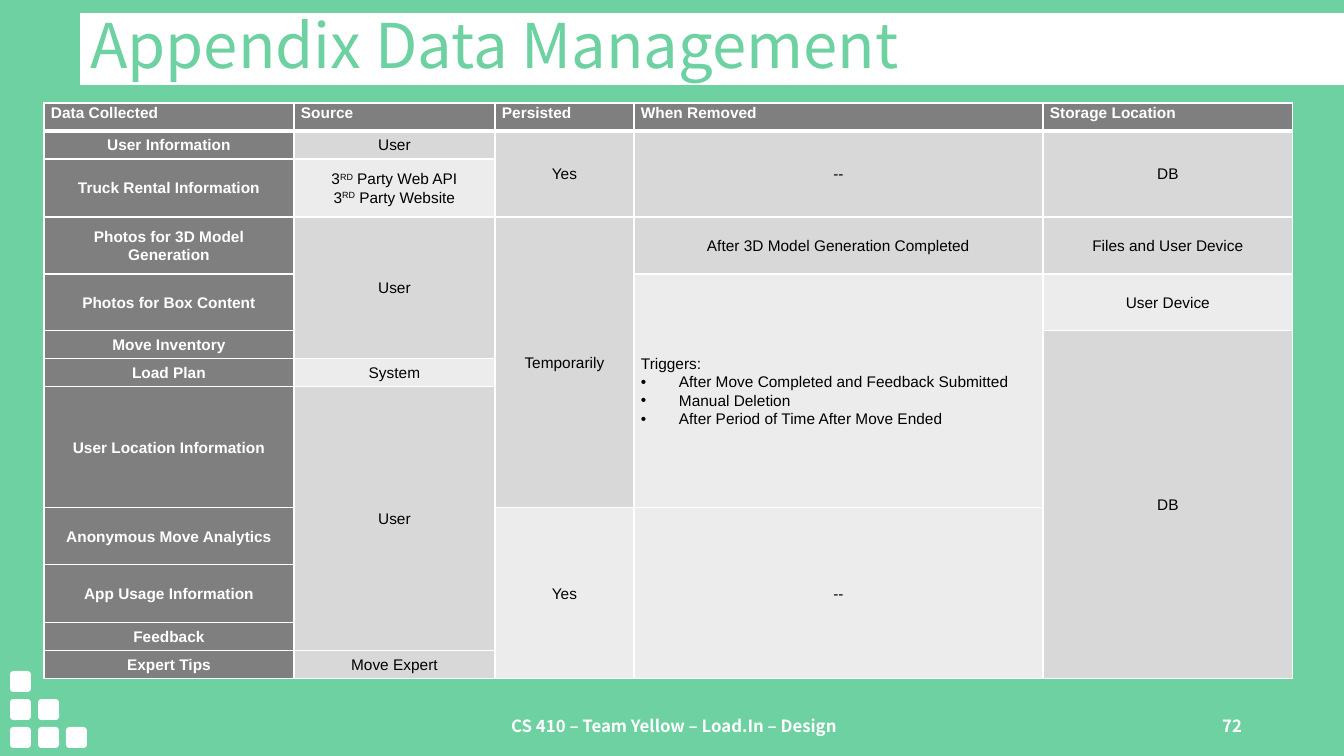
from lxml import etree
from pptx import Presentation
from pptx.dml.color import RGBColor
from pptx.enum.shapes import MSO_SHAPE
from pptx.enum.text import MSO_ANCHOR, MSO_AUTO_SIZE, PP_ALIGN
from pptx.oxml.ns import qn
from pptx.util import Pt

ROUND = MSO_SHAPE.ROUNDED_RECTANGLE
MIDDLE, TOP = MSO_ANCHOR.MIDDLE, MSO_ANCHOR.TOP
LEFT, MID, RIGHT = PP_ALIGN.LEFT, PP_ALIGN.CENTER, PP_ALIGN.RIGHT
NO_FIT = MSO_AUTO_SIZE.NONE

SCALE = 914400 / 100.8
HEX = {"green": "6DD1A1", "white": "FFFFFF", "black": "000000",
       "head": "7F7F7F", "dark": "D8D8D8", "light": "ECECEC"}
SANS, BODY = "Noto Sans CJK KR", "Arial"

COLS = [250, 201, 139, 409, 250]
ROWS = [28, 28, 58, 57, 57, 28, 28, 121, 57, 58, 28, 28]
HEADS = ["Data Collected", "Source", "Persisted", "When Removed", "Storage Location"]
ITEMS = ["User Information", "Truck Rental Information",
         "Photos for 3D Model Generation", "Photos for Box Content",
         "Move Inventory", "Load Plan", "User Location Information",
         "Anonymous Move Analytics", "App Usage Information", "Feedback", "Expert Tips"]
TRIGGERS = ["Triggers:", "•After Move Completed and Feedback Submitted",
            "•Manual Deletion", "•After Period of Time After Move Ended"]
# For each column: (rows spanned, shade, paragraphs), from the top down
FACTS = [
    [(1, "dark", ["User"]),
     (1, "light", ["3^RD^ Party Web API", "3^RD^ Party Website"]),
     (3, "dark", ["User"]), (1, "light", ["System"]),
     (4, "dark", ["User"]), (1, "dark", ["Move Expert"])],
    [(2, "dark", ["Yes"]), (5, "dark", ["Temporarily"]), (4, "light", ["Yes"])],
    [(2, "dark", ["--"]), (1, "dark", ["After 3D Model Generation Completed"]),
     (4, "light", TRIGGERS), (4, "light", ["--"])],
    [(2, "dark", ["DB"]), (1, "dark", ["Files and User Device"]),
     (1, "light", ["User Device"]), (7, "dark", ["DB"])],
]


def px(n):
    return round(n * SCALE)


def rgb(name):
    return RGBColor.from_string(HEX[name])


def write(frame, lines, size=11, font=BODY, color="black", bold=False,
          align=MID, space=1.07):
    """Fill a frame; ^ marks superscript, a leading • makes a bullet."""
    for i, line in enumerate(lines):
        para = frame.paragraphs[0] if i == 0 else frame.add_paragraph()
        para.alignment, para.line_spacing = align, space
        para.space_before = Pt(0)
        if line.startswith("•"):
            line = line[1:]
            props = para._p.get_or_add_pPr()
            props.set("marL", str(px(38)))
            props.set("indent", str(-px(38)))
            etree.SubElement(props, qn("a:buFont"), typeface=BODY)
            etree.SubElement(props, qn("a:buChar"), char="•")
        for k, part in enumerate(line.split("^")):
            run = para.add_run()
            run.text = part
            run.font.size, run.font.name = Pt(size), font
            run.font.bold = bold
            run.font.color.rgb = rgb(color)
            if k % 2:
                run.font._element.set("baseline", "30000")


def edge(cell, side, width):
    line = etree.SubElement(cell._tc.get_or_add_tcPr(), qn("a:ln" + side),
                            w=str(Pt(width)))
    fill = etree.SubElement(line, qn("a:solidFill"))
    etree.SubElement(fill, qn("a:srgbClr"), val=HEX["white"])


def put(cell, lines, shade, anchor=MIDDLE, **style):
    cell.vertical_anchor = anchor
    cell.fill.solid()
    cell.fill.fore_color.rgb = rgb(shade)
    write(cell.text_frame, lines, **style)


def title(slide, x, y, w, h):
    bar = slide.shapes.title
    bar.left, bar.top, bar.width, bar.height = map(px, (x, y, w, h))
    bar.fill.solid()
    bar.fill.fore_color.rgb = rgb("white")
    frame = bar.text_frame
    frame.auto_size, frame.vertical_anchor = NO_FIT, MIDDLE
    frame.word_wrap = True
    write(frame, ["Appendix Data Management"], size=44, font=SANS,
          color="green", align=LEFT, space=0.9)


def grid(slide, x, y):
    frame = slide.shapes.add_table(len(ROWS), len(COLS), px(x), px(y),
                                   px(sum(COLS)), px(sum(ROWS)))
    table = frame.table
    table.first_row = table.horz_banding = False
    for col, w in zip(table.columns, COLS):
        col.width = px(w)
    for r, h in enumerate(ROWS):
        table.rows[r].height = px(h)
        for cell in table.rows[r].cells:
            cell.margin_left = cell.margin_right = px(7)
            cell.margin_top = cell.margin_bottom = 0
            for side in "LRTB":
                thick = (r, side) in ((0, "B"), (1, "T"))
                edge(cell, side, 3 if thick else 1)

    # Header row and first column
    for c, text in enumerate(HEADS):
        put(table.cell(0, c), [text], "head", TOP, color="white", bold=True, align=LEFT)
    for r, text in enumerate(ITEMS, 1):
        put(table.cell(r, 0), [text], "head", color="white", bold=True)

    # Merged facts
    for c, facts in enumerate(FACTS, 1):
        r = 1
        for span, shade, lines in facts:
            cell = table.cell(r, c)
            if span > 1:
                cell.merge(table.cell(r + span - 1, c))
            put(cell, lines, shade, align=LEFT if lines is TRIGGERS else MID)
            r += span


def stairs(slide, x, y, side=21, step=28):
    for c in range(3):
        for r in range(c, 3):
            tile = slide.shapes.add_shape(ROUND, px(x + c * step), px(y + r * step),
                                          px(side), px(side))
            tile.shadow.inherit = False
            tile.fill.solid()
            tile.fill.fore_color.rgb = rgb("white")
            tile.line.fill.background()


def footer(slide, x, y, w, h, text, align):
    box = slide.shapes.add_textbox(px(x), px(y), px(w), px(h))
    frame = box.text_frame
    frame.word_wrap, frame.vertical_anchor = True, MIDDLE
    write(frame, [text], size=12, font=SANS, color="white", bold=True,
          align=align, space=1.0)


def main():
    deck = Presentation()
    deck.slide_width, deck.slide_height = px(1344), px(756)
    slide = deck.slides.add_slide(deck.slide_layouts[5])
    slide.background.fill.solid()
    slide.background.fill.fore_color.rgb = rgb("green")
    stairs(slide, 10, 671)
    footer(slide, 449, 696, 454, 60, "CS 410 – Team Yellow – Load.In – Design ", MID)
    footer(slide, 950, 696, 302, 60, "72", RIGHT)
    title(slide, 80, 13, 1264, 72)
    grid(slide, 44, 103)
    deck.save("out.pptx")


if __name__ == "__main__":
    main()
